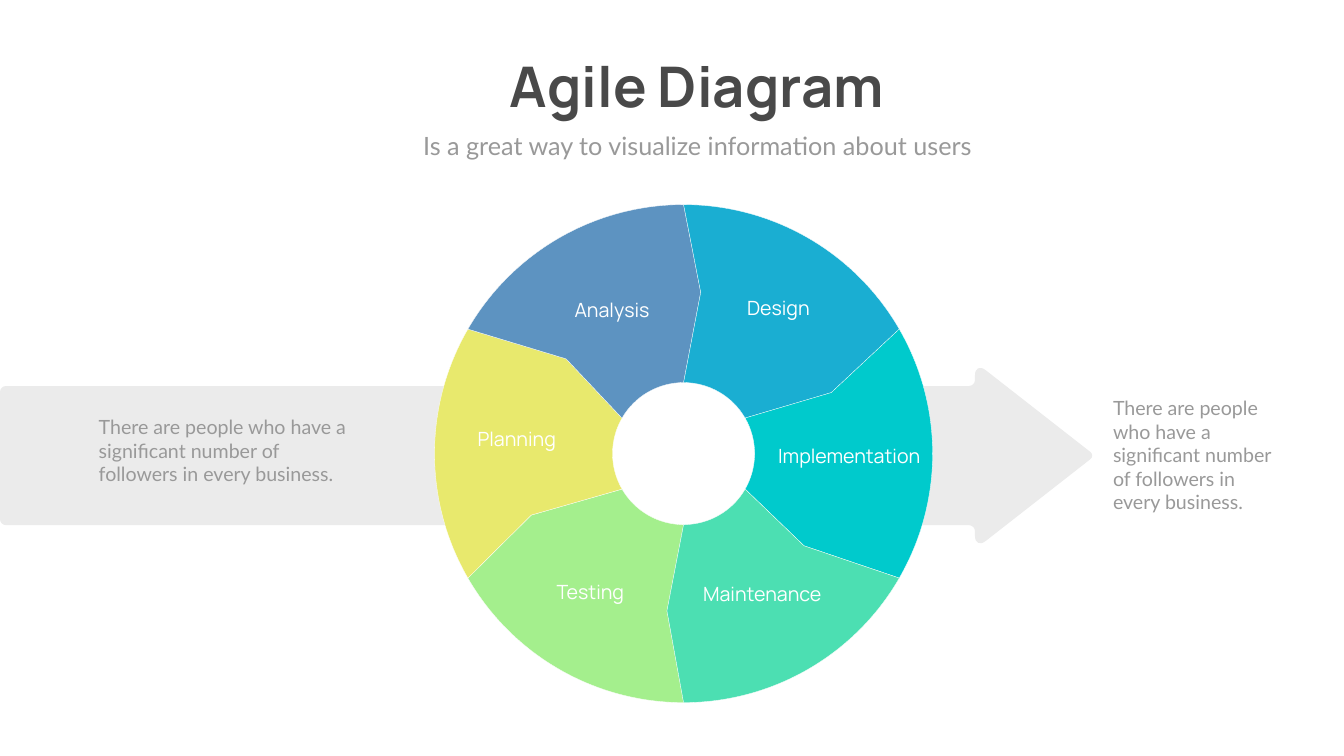
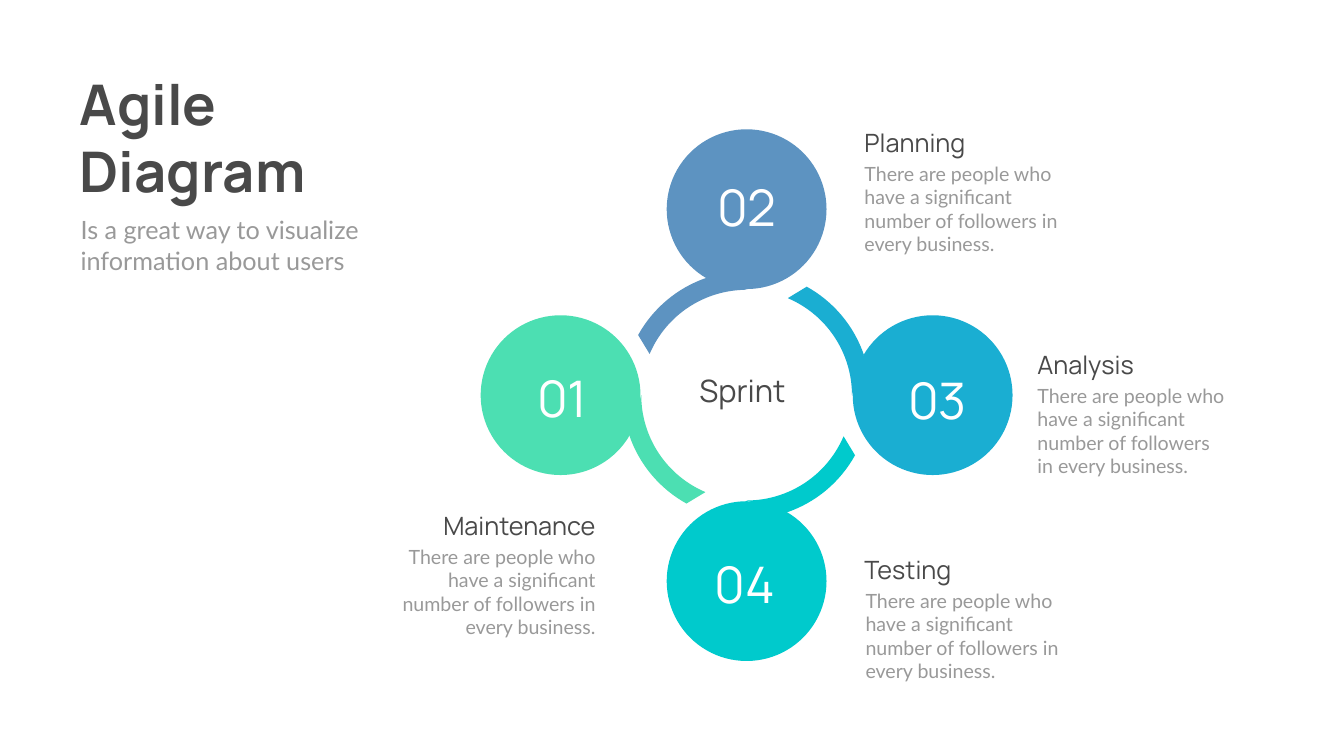
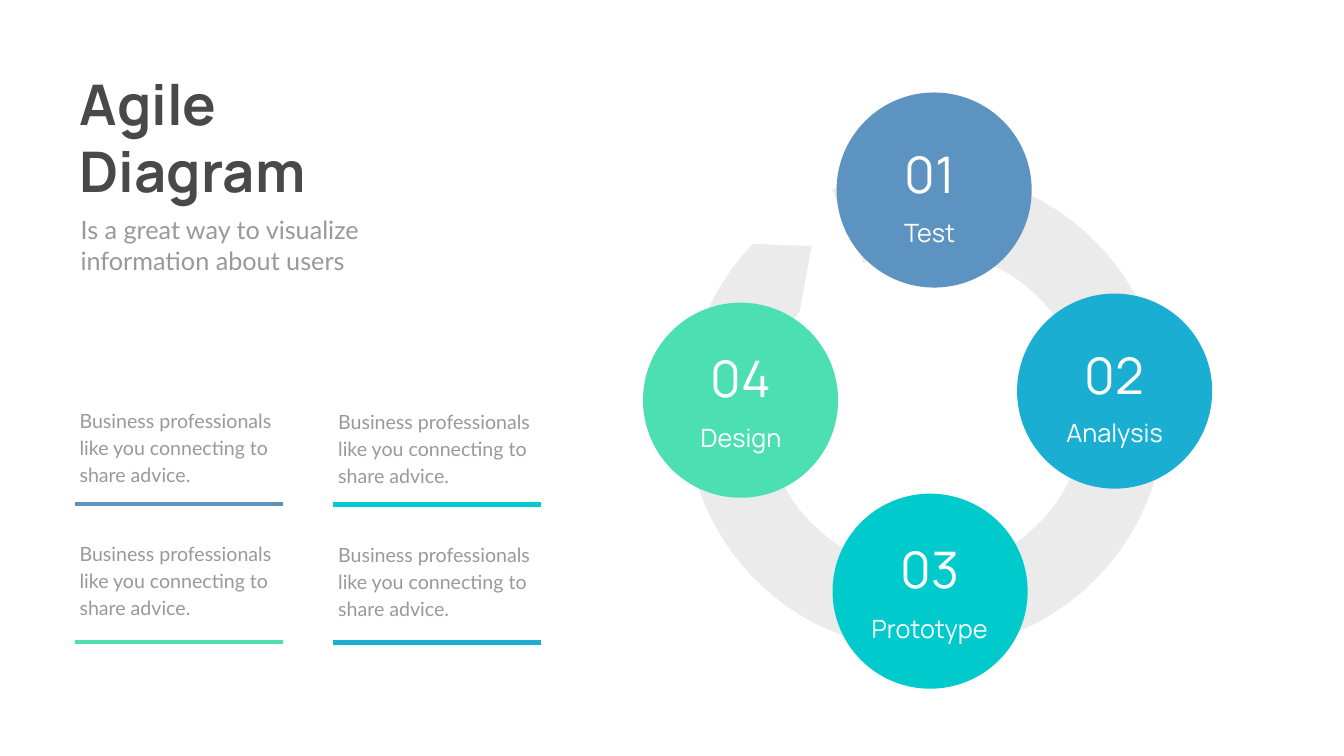
"""Builds three agile diagram slides: a wheel, a sprint ring and a cycle."""
import math

import lxml.etree
import pptx
import pptx.dml.color
import pptx.enum.shapes
import pptx.enum.text
import pptx.oxml.ns
import pptx.util

WIDE, HIGH = 26.66, 15
HEX = {
    "dark": "494949", "grey": "999999", "pale": "EBEBEB", "white": "FFFFFF",
    "blue": "5D93C1", "sky": "1AAED2", "teal": "00CACC", "mint": "4CDFB2",
    "lime": "A4EF8D", "gold": "E8E96D",
}
HEAD, BODY = "Manrope", "Lato"
TITLE = "Agile Diagram"
SUB = "Is a great way to visualize information about users"
PEOPLE = "There are people who have a significant number of followers in every business."
ADVICE = "Business professionals like you connecting to share advice."

HUB = (13.56, 9)
RIM, BORE, HOLE = 4.94, 1.41, 2.14
WEDGES = [
    ("Testing", "lime", (13.23, 12.12), (10.4, 11.46, 2.62)),
    ("Planning", "gold", (10.54, 10.22), (8.94, 8.42, 2.62)),
    ("Analysis", "blue", (11.23, 7.12), (10.83, 5.87, 2.62)),
    ("Design", "sky", (13.9, 5.8), (14.13, 5.82, 2.62)),
    ("Implementation", "teal", (16.49, 7.79), (14.78, 8.75, 4.13)),
    ("Maintenance", "mint", (15.95, 10.83), (13.3, 11.49, 3.64)),
]
AXIS = 9.04
ARROW = [(0, 1.38, 0.12), (19.34, 1.38, 0.12), (19.34, 1.86, 0.27)]
TIP = (21.72, AXIS, 0.12)
ASIDES = [(1.86, 8.19, 5.28, 1.52), (21.98, 7.81, 3.6, 2.46)]

CORE = (14.81, 7.84)
ORBIT, BALL, TILT = 3.69, 3.17, 315
SPRINTS = [
    ("01", "mint", (9.65, 7.23)),
    ("02", "blue", (13.31, 3.45)),
    ("03", "sky", (17.09, 7.27)),
    ("04", "teal", (13.27, 10.93)),
]
NOTES = [
    ("Planning", PEOPLE, "l", (17.05, 2.48, 2.93), (17.05, 3.16, 4.14, 1.04)),
    ("Maintenance", PEOPLE, "r", (7.77, 10.07, 4.14), (7.42, 10.76, 4.49, 1.99)),
    ("Analysis", PEOPLE.replace(" in every", "\nin every"), "l",
     (20.48, 6.88, 2.93), (20.48, 7.56, 4.11, 1.99)),
    ("Testing", PEOPLE, "l", (17.05, 10.95, 4.14), (17.07, 11.63, 4.11, 1.99)),
]

DISC = 3.87
LOOP = (13.6, 3.39, 9.51, 9.51)
BEND = [0.166, 8.164, 205.05, 4.302, 0.083]
STEPS = [
    ("01", "Test", "blue", (18.53, 3.77), (17.03, 4.27, 2.82), (17.03, 2.79)),
    ("02", "Analysis", "sky", (22.11, 7.76), (20.88, 8.23, 2.46), (20.7, 6.77)),
    ("04", "Design", "mint", (14.69, 7.94), (13.29, 8.32, 2.82), (13.29, 6.84)),
    ("03", "Prototype", "teal", (18.45, 11.73), (17.03, 12.11, 2.82), (17.04, 10.63)),
]
TIPS = [["blue", "mint"], ["teal", "sky"]]

SIDES = {
    "l": pptx.enum.text.PP_ALIGN.LEFT,
    "c": pptx.enum.text.PP_ALIGN.CENTER,
    "r": pptx.enum.text.PP_ALIGN.RIGHT,
}
KIND = pptx.enum.shapes.MSO_SHAPE
tag = pptx.oxml.ns.qn


def inch(*sizes):
    return [pptx.util.Inches(size) for size in sizes]


def tint(name):
    return pptx.dml.color.RGBColor.from_string(HEX[name])


def write(slide, text, box, size, font, hue, side="l", bold=None, lead=None):
    frame = slide.shapes.add_textbox(*inch(*box)).text_frame
    frame.word_wrap = True
    frame.auto_size = pptx.enum.text.MSO_AUTO_SIZE.SHAPE_TO_FIT_TEXT
    for index, line in enumerate(text.split("\n")):
        para = frame.add_paragraph() if index else frame.paragraphs[0]
        para.alignment = SIDES[side]
        if lead:
            para.line_spacing = pptx.util.Pt(lead)
        run = para.add_run()
        run.text = line
        run.font.size = pptx.util.Pt(size)
        run.font.name = font
        run.font.bold = bold
        run.font.color.rgb = tint(hue)


def paint(shape, hue, edge=None):
    shape.shadow.inherit = False
    shape.fill.solid()
    shape.fill.fore_color.rgb = tint(hue)
    if edge:
        shape.line.color.rgb = tint(edge)
        shape.line.width = pptx.util.Pt(0.41)
    else:
        shape.line.fill.background()


def curve(shape, node, step):
    bend = lxml.etree.Element(tag("a:cubicBezTo"))
    for point in step:
        x, y = inch(*point)
        lxml.etree.SubElement(bend, tag("a:pt"), x=str(x - shape.left), y=str(y - shape.top))
    node.getparent().replace(node, bend)


def trace(slide, outline, hue, edge=None):
    """Draws an outline of points and of curves, each held as three points."""
    ends = [inch(*(step[-1] if len(step) == 3 else step)) for step in outline]
    pen = slide.shapes.build_freeform(*ends[0])
    pen.add_line_segments(ends[1:], close=True)
    shape = pen.convert_to_shape()
    for node, step in zip(list(shape._element.iter(tag("a:lnTo"))), outline[1:]):
        if len(step) == 3:
            curve(shape, node, step)
    paint(shape, hue, edge)
    return shape


def disc(slide, mid, size, hue):
    box = (mid[0] - size / 2, mid[1] - size / 2, size, size)
    shape = slide.shapes.add_shape(KIND.OVAL, *inch(*box))
    shape.rotation = TILT
    paint(shape, hue)


def polar(mid, reach, angle):
    turn = math.radians(angle)
    return mid[0] + reach * math.cos(turn), mid[1] + reach * math.sin(turn)


def arc(mid, reach, start, end, count=2):
    sweep = (end - start) / count
    pull = 4 / 3 * math.tan(math.radians(sweep) / 4) * reach
    steps = [polar(mid, reach, start)]
    for i in range(count):
        a, b = start + sweep * i, start + sweep * (i + 1)
        near, far = polar(mid, reach, a), polar(mid, reach, b)
        steps.append((polar(near, pull, a + 90), polar(far, pull, b - 90), far))
    return steps


def toward(start, end, cut):
    part = cut / math.dist(start, end)
    return tuple(a + (b - a) * part for a, b in zip(start, end))


def soften(corners):
    steps = []
    for i, (x, y, cut) in enumerate(corners):
        knee = (x, y)
        last, after = corners[i - 1][:2], corners[(i + 1) % len(corners)][:2]
        steps.append(toward(knee, last, cut))
        steps.append((toward(knee, last, cut * 0.45), toward(knee, after, cut * 0.45),
                      toward(knee, after, cut)))
    return steps


def blade(slide, turn, hue):
    """Draws a ring part upright, then tilts it about the ring's core."""
    turn -= TILT
    shape = trace(slide, arc(CORE, 2.09, 113 + turn, 180 + turn)
                  + arc(CORE, 2.46, 161 + turn, 119 + turn), hue)
    x = (shape.left + shape.width / 2) / pptx.util.Inches(1) - CORE[0]
    y = (shape.top + shape.height / 2) / pptx.util.Inches(1) - CORE[1]
    mid = polar(CORE, math.hypot(x, y), math.degrees(math.atan2(y, x)) + TILT)
    left, top = inch(*mid)
    shape.left, shape.top = left - shape.width // 2, top - shape.height // 2
    shape.rotation = TILT


def rule(slide, left, top, width, hue):
    line = slide.shapes.add_connector(
        pptx.enum.shapes.MSO_CONNECTOR.STRAIGHT, *inch(left, top, left + width, top))
    line.line.color.rgb = tint(hue)
    line.line.width = pptx.util.Pt(6)
    props = line._element.find(tag("p:spPr"))
    lxml.etree.SubElement(props, tag("a:effectLst"))


def title(slide, top, low, side="l"):
    write(slide, TITLE, top, 80, HEAD, "dark", side, True)
    write(slide, SUB, low, 36, BODY, "grey", side)


def corner(slide):
    title(slide, (1.48, 1.32, 6.68, 2.79), (1.5, 4.21, 6.42, 1.31))


def wheel(slide):
    title(slide, (7.76, 0.98, 12.13, 1.45), (7.25, 2.54, 13.17, 0.71), "c")
    upper = [(x, AXIS - rise, cut) for x, rise, cut in ARROW]
    lower = [(x, AXIS + rise, cut) for x, rise, cut in reversed(ARROW)]
    trace(slide, soften(upper + [TIP] + lower), "pale")
    trace(slide, arc(HUB, HOLE, 0, 360, 4), "white")
    for i, (name, hue, knee, spot) in enumerate(WEDGES):
        start = 60 * i + 90
        after = WEDGES[(i + 1) % len(WEDGES)][2]
        trace(slide, arc(HUB, RIM, start, start + 60) + [after]
              + arc(HUB, BORE, start + 60, start) + [knee], hue, "white")
    for name, hue, knee, spot in WEDGES:
        write(slide, name, (*spot, 0.57), 28, HEAD, "white", "c")
    for box in ASIDES:
        write(slide, PEOPLE, box, 28, BODY, "grey")


def sprint(slide):
    for name, text, side, top, low in NOTES:
        write(slide, name, (*top, 0.71), 36, HEAD, "dark", side)
        write(slide, text, low, 28, BODY, "grey", side)
    for i, (mark, hue, spot) in enumerate(SPRINTS):
        blade(slide, 90 * i, hue)
        disc(slide, polar(CORE, ORBIT, 180 + 90 * i), BALL, hue)
    write(slide, "Sprint", (12.63, 7.32, 4.2, 0.84), 44, HEAD, "dark", "c")
    corner(slide)
    for mark, hue, spot in SPRINTS:
        write(slide, mark, (*spot, 3.01, 1.31), 72, HEAD, "white", "c")


def cycle(slide):
    loop = slide.shapes.add_shape(KIND.CIRCULAR_ARROW, *inch(*LOOP))
    loop.rotation = 240
    for i, value in enumerate(BEND):
        loop.adjustments[i] = value
    paint(loop, "pale")
    for mark, name, hue, mid, label, spot in STEPS:
        disc(slide, mid, DISC, hue)
    for mark, name, hue, mid, label, spot in STEPS:
        write(slide, name, (*label, 0.71), 36, HEAD, "white", "c")
        write(slide, mark, (*spot, 2.82, 1.31), 72, HEAD, "white", "c")
    cells = [(1.48 + 5.13 * col, row, col, hue)
             for col, hues in enumerate(TIPS) for row, hue in enumerate(hues)]
    for left, row, col, hue in cells:
        top = 7.99 + 2.64 * row + 0.03 * col
        write(slide, ADVICE, (left, top, 4.13, 1.69), 28, BODY, "grey", lead=38.6)
    corner(slide)
    for left, row, col, hue in cells:
        rule(slide, left, 10 + 2.74 * row + 0.01 * col, 4.13, hue)


def main():
    deck = pptx.Presentation()
    deck.slide_width, deck.slide_height = inch(WIDE, HIGH)
    for build in (wheel, sprint, cycle):
        build(deck.slides.add_slide(deck.slide_layouts[6]))
    deck.save("out.pptx")


if __name__ == "__main__":
    main()
